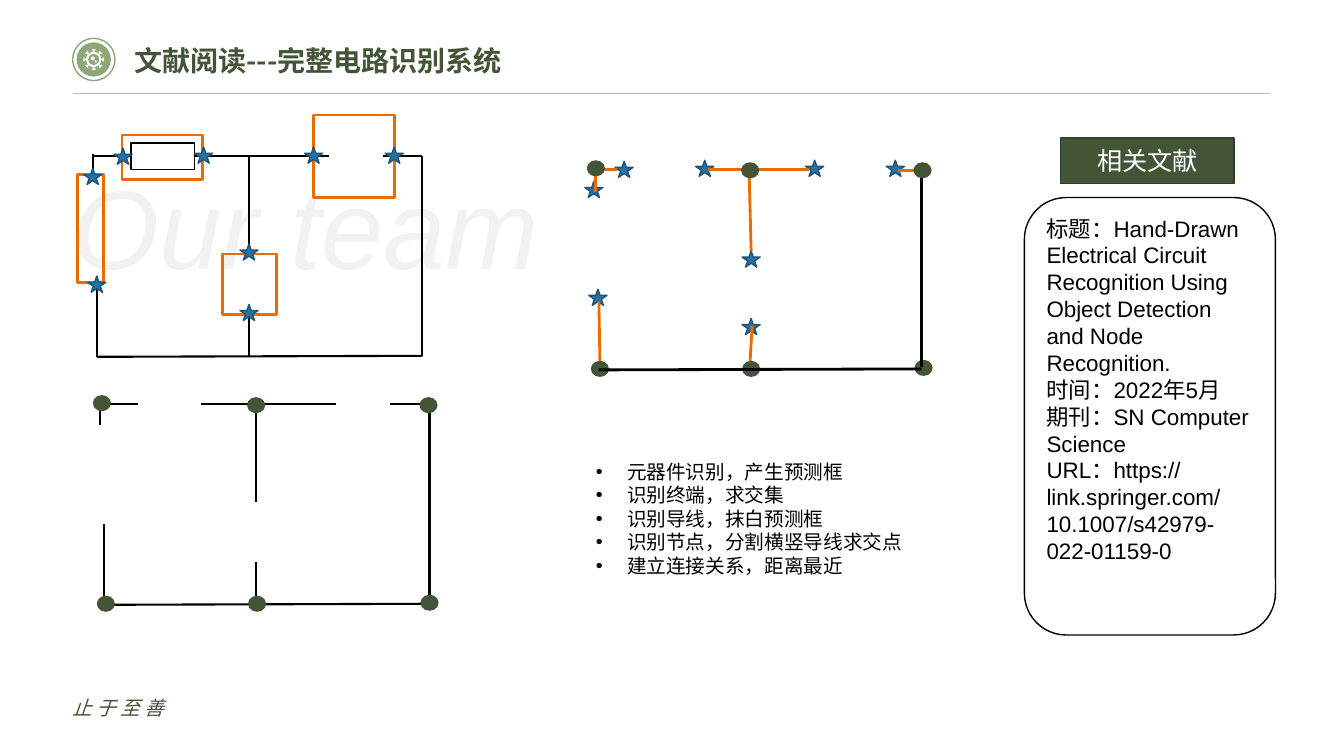
import math
from lxml import etree
from pptx import Presentation
from pptx.dml.color import RGBColor
from pptx.enum import shapes, text
from pptx.oxml import ns
from pptx.util import Inches, Pt

GREEN = RGBColor(0x44, 0x54, 0x37)
DARK_GREEN = RGBColor(0x32, 0x3E, 0x29)
SAGE = RGBColor(0x8D, 0xA7, 0x78)
ORANGE = RGBColor(0xEA, 0x6C, 0x00)
BLUE = RGBColor(0x28, 0x72, 0xA1)
DARK_BLUE = RGBColor(0x1E, 0x54, 0x77)
BLACK = RGBColor(0, 0, 0)
WHITE = RGBColor(0xFF, 0xFF, 0xFF)
RULE = RGBColor(0xBF, 0xBF, 0xBF)
PALE = RGBColor(0xF2, 0xF2, 0xF2)
CJK = "Noto Sans CJK SC"
MS = shapes.MSO_SHAPE
MARK = (0.18, 0.16)

WIRES = [
    (0.15, 0.41, 0.53, 0.41), (1.15, 0.41, 2.49, 0.41), (1.7, 1.38, 1.7, 0.41),
    (0.15, 0.62, 0.15, 0.39), (0.19, 1.6, 0.19, 2.4), (0.19, 2.4, 3.42, 2.39),
    (1.7, 1.98, 1.7, 2.39), (3.03, 0.41, 3.42, 0.41), (3.42, 0.41, 3.42, 2.39),
]
DETECTIONS = [(0.44, 0.2, 0.8, 0.44), (2.34, 0, 0.8, 0.82),
              (1.44, 1.38, 0.53, 0.6), (0, 0.59, 0.26, 1.07)]
TERMINALS = [(0.36, 0.33), (1.16, 0.32), (0.06, 0.53), (0.1, 1.6), (2.25, 0.32), (3.05, 0.32)]
NODES = [(0.08, 0.32), (1.61, 0.34), (3.32, 0.34), (0.12, 2.31), (1.62, 2.31), (3.33, 2.3)]
LINKS = [
    (0.17, 0.63, 0.17, 0.4), (0.38, 0.41, 0.17, 0.41), (0.21, 2.31, 0.2, 1.72),
    (1.71, 1.22, 1.69, 0.44), (1.7, 2.31, 1.72, 1.96), (3.36, 0.42, 3.17, 0.42),
    (1.62, 0.41, 1.28, 0.41), (2.28, 0.41, 1.78, 0.41),
]
DIRECT = [(0.2, 2.4, 3.4, 2.39), (3.4, 2.37, 3.4, 0.5)]
STEPS = ["元器件识别，产生预测框", "识别终端，求交集", "识别导线，抹白预测框",
         "识别节点，分割横竖导线求交点", "建立连接关系，距离最近"]
PAPER = [
    "标题：Hand-Drawn Electrical Circuit Recognition Using Object Detection and Node Recognition.",
    "时间：2022年5月",
    "期刊：SN Computer Science",
    "URL：https://link.springer.com/10.1007/s42979-022-01159-0",
]


def style(sp, fill=None, line=None, weight=1):
    sp.shadow.inherit = False
    if fill is None:
        sp.fill.background()
    else:
        sp.fill.solid()
        sp.fill.fore_color.rgb = fill
    if line is None:
        sp.line.fill.background()
    else:
        sp.line.color.rgb = line
        sp.line.width = Pt(weight)
    return sp


def add_box(s, kind, left, top, width, height, **look):
    sp = s.shapes.add_shape(kind, Inches(left), Inches(top), Inches(width), Inches(height))
    return style(sp, **look)


def add_line(s, left, top, ends, color, weight):
    x1, y1, x2, y2 = ends
    line = s.shapes.add_connector(
        shapes.MSO_CONNECTOR.STRAIGHT, Inches(left + x1), Inches(top + y1),
        Inches(left + x2), Inches(top + y2))
    line.line.color.rgb = color
    line.line.width = Pt(weight)
    etree.SubElement(line._element.spPr, ns.qn("a:effectLst"))


def add_text(sp, lines, size, color=BLACK, font="Arial", bold=False, italic=False,
             align=text.PP_ALIGN.LEFT, anchor=text.MSO_ANCHOR.TOP, inset=0.1,
             spacing=None, bullet=None):
    tf = sp.text_frame
    tf.word_wrap = True
    tf.auto_size = text.MSO_AUTO_SIZE.NONE
    tf.vertical_anchor = anchor
    tf.margin_left, tf.margin_right = Inches(inset), Inches(0.1)
    tf.margin_top = tf.margin_bottom = Inches(0.05)
    for i, words in enumerate(lines):
        p = tf.paragraphs[0] if i == 0 else tf.add_paragraph()
        p.alignment = align
        p.space_before = Pt(0)
        if bullet:
            pPr = p._p.get_or_add_pPr()
            pPr.set("marL", str(Inches(0.31)))
            pPr.set("indent", str(-Inches(0.31)))
            etree.SubElement(pPr, ns.qn("a:buFont"), typeface="Arial")
            etree.SubElement(pPr, ns.qn("a:buChar"), char=bullet)
        r = p.add_run()
        r.text = words
        r.font.size, r.font.name = Pt(size), font
        r.font.bold, r.font.italic = bold, italic
        r.font.color.rgb = color
        rPr = r._r.get_or_add_rPr()
        etree.SubElement(rPr, ns.qn("a:ea"), typeface=CJK)
        if spacing:
            rPr.set("spc", str(spacing * 100))


def place(sp, left, top, width, height):
    sp.left, sp.top, sp.width, sp.height = map(Inches, (left, top, width, height))
    return sp


def add_label(s, words, left, top, width, height, **fmt):
    sp = s.shapes.add_textbox(*map(Inches, (left, top, width, height)))
    add_text(sp, [words], inset=0, **fmt)


def add_gear(s, cx, cy):
    tooth = [(-14, 0.075), (-4, 0.075), (-4, 0.09), (-11, 0.09), (-11, 0.105),
             (11, 0.105), (11, 0.09), (4, 0.09), (4, 0.075), (14, 0.075)]
    points = []
    for turn in range(0, 360, 45):
        for angle, radius in tooth:
            a = math.radians(turn + angle)
            points.append((Inches(cx + radius * math.cos(a)), Inches(cy + radius * math.sin(a))))
    outline = s.shapes.build_freeform(*points[0])
    outline.add_line_segments(points[1:], close=True)
    style(outline.convert_to_shape(), fill=WHITE)
    for dx, dy, d, color in [(0, 0, 0.11, SAGE), (-0.01, -0.01, 0.04, WHITE),
                             (0.02, 0.02, 0.02, WHITE)]:
        add_box(s, MS.OVAL, cx + dx - d / 2, cy + dy - d / 2, d, d, fill=color)


def add_header(s, left, top):
    add_box(s, MS.OVAL, left, top, 0.42, 0.42, line=SAGE)
    add_box(s, MS.OVAL, left + 0.04, top + 0.04, 0.34, 0.34, fill=SAGE)
    add_gear(s, left + 0.21, top + 0.21)
    add_line(s, left, top, (0, 0.55, 11.88, 0.55), RULE, 0.5)
    add_text(place(s.shapes.title, left + 0.61, top, 9.76, 0.44),
             ["文献阅读---完整电路识别系统"], 20, color=GREEN, font=CJK, bold=True, inset=0)


def add_wires(s, left, top, wires, color=BLACK, weight=1.5):
    for ends in wires:
        add_line(s, left, top, ends, color, weight)


def add_stars(s, left, top, middle):
    for x, y in TERMINALS + middle:
        add_box(s, MS.STAR_5_POINT, left + x, top + y, *MARK, fill=BLUE, line=DARK_BLUE)


def add_nodes(s, left, top):
    for x, y in NODES:
        add_box(s, MS.OVAL, left + x, top + y, *MARK, fill=GREEN)


def add_detection_panel(s, left, top):
    add_wires(s, left, top, WIRES)
    add_box(s, MS.RECTANGLE, left + 0.53, top + 0.28, 0.63, 0.26, fill=WHITE, line=BLACK)
    for x, y, w, h in DETECTIONS:
        add_box(s, MS.RECTANGLE, left + x, top + y, w, h, line=ORANGE, weight=2)
    add_stars(s, left, top, [(1.61, 1.28), (1.61, 1.88)])


def add_node_panel(s, left, top):
    add_wires(s, left, top, WIRES)
    add_nodes(s, left, top)


def add_link_panel(s, left, top):
    add_stars(s, left, top, [(1.62, 1.22), (1.62, 1.89)])
    add_wires(s, left, top, LINKS, ORANGE, 2)
    add_nodes(s, left, top)
    add_wires(s, left, top, DIRECT, BLACK, 2)


def add_paper(s, left, top, width, height):
    card = add_box(s, MS.ROUNDED_RECTANGLE, left, top + 0.59, width, height - 0.59,
                   fill=WHITE, line=BLACK)
    add_text(card, PAPER, 16)
    tag = add_box(s, MS.RECTANGLE, left + 0.36, top, 1.72, 0.45, fill=GREEN, line=DARK_GREEN)
    add_text(tag, ["相关文献"], 18, color=WHITE, align=text.PP_ALIGN.CENTER,
             anchor=text.MSO_ANCHOR.MIDDLE)


def main():
    prs = Presentation()
    prs.slide_width, prs.slide_height = Inches(13.33), Inches(7.5)
    s = prs.slides.add_slide(prs.slide_layouts[1])
    add_label(s, "Our team", 0.72, 1.51, 5.47, 1.45, size=80, color=PALE, italic=True)
    add_header(s, 0.72, 0.38)
    add_label(s, "止于至善", 0.72, 6.82, 3.66, 0.4, size=14, color=GREEN, font=CJK,
              italic=True, spacing=3, anchor=text.MSO_ANCHOR.MIDDLE)
    add_detection_panel(s, 0.77, 1.14)
    add_node_panel(s, 0.84, 3.6)
    add_link_panel(s, 5.74, 1.27)
    add_text(place(s.placeholders[1], 5.81, 4.51, 3.42, 1.28), STEPS, 14, bullet="•")
    add_paper(s, 10.16, 1.37, 2.49, 4.93)
    prs.save("out.pptx")


if __name__ == "__main__":
    main()
